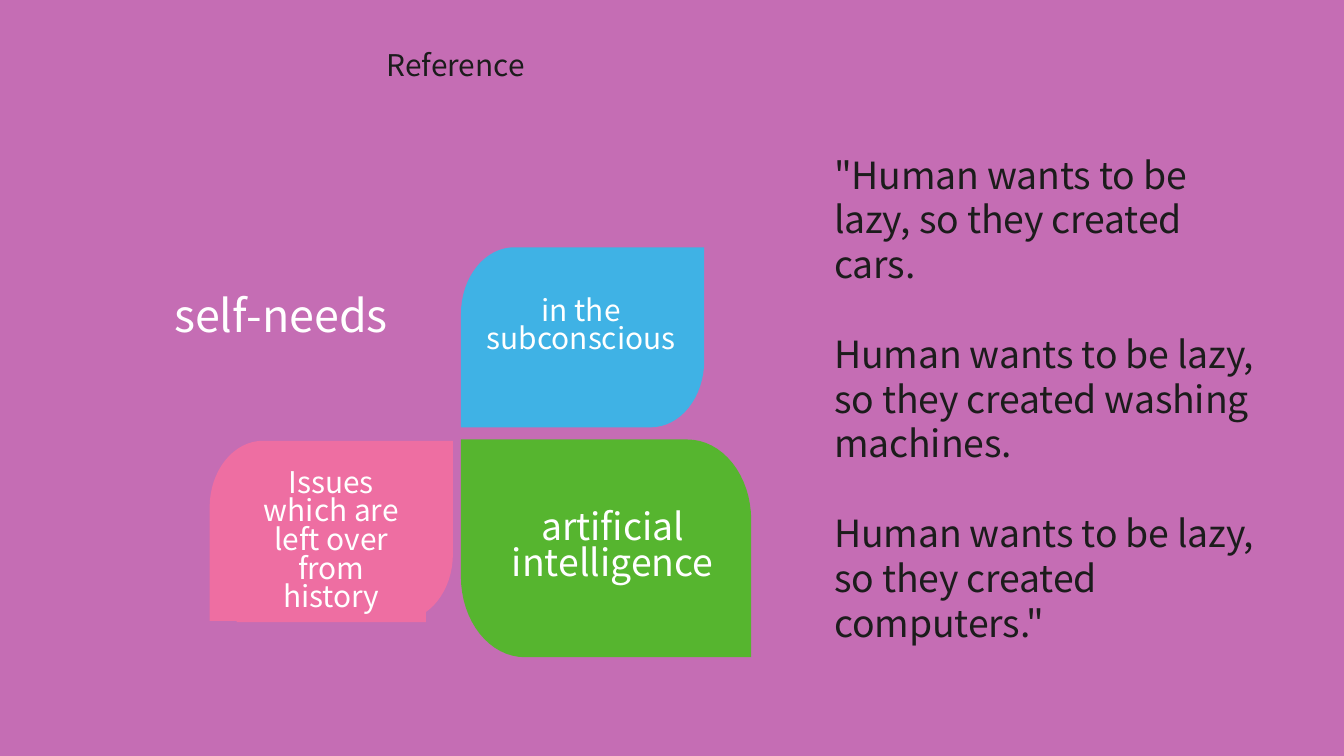
from dataclasses import dataclass
from math import cos, pi, sin
from typing import Optional

from pptx import Presentation
from pptx.dml.color import RGBColor
from pptx.enum.shapes import MSO_SHAPE
from pptx.enum.text import MSO_ANCHOR, PP_ALIGN
from pptx.util import Inches, Pt

SLIDE_WIDTH = 10
SLIDE_HEIGHT = SLIDE_WIDTH * 9 / 16

FONT = "Noto Sans CJK SC"
PURPLE = RGBColor(0xC5, 0x6D, 0xB4)
PINK = RGBColor(0xEE, 0x6E, 0xA2)
GREEN = RGBColor(0x56, 0xB5, 0x2F)
BLUE = RGBColor(0x3F, 0xB2, 0xE5)
WHITE = RGBColor(0xFF, 0xFF, 0xFF)
INK = RGBColor(0x1C, 0x1C, 0x1C)

CORNER_X, CORNER_Y = 0.22, 0.37
CURVE_STEPS = 16


@dataclass
class Box:
    left: float
    top: float
    width: float
    height: float

    def emu(self) -> tuple:
        return tuple(Inches(v) for v in (self.left, self.top, self.width, self.height))


@dataclass
class Leaf:
    box: Box
    color: RGBColor
    mirrored: bool
    label: str
    label_box: Box
    size: int
    label_fill: Optional[RGBColor] = None


LEAVES = [
    Leaf(Box(1.56, 3.28, 1.81, 1.34), PINK, False,
         "Issues which are left over from history", Box(1.76, 3.45, 1.41, 1.18), 16, PINK),
    Leaf(Box(0.86, 1.4, 2.47, 1.78), PURPLE, True,
         "self-needs", Box(1.03, 2.17, 2.12, 0.42), 24),
    Leaf(Box(3.43, 3.27, 2.16, 1.62), GREEN, True,
         "artificial intelligence", Box(3.68, 3.76, 1.76, 0.64), 20),
    Leaf(Box(3.43, 1.84, 1.81, 1.34), BLUE, False,
         "in the subconscious", Box(3.46, 2.17, 1.73, 0.53), 16),
]

QUOTE = [
    '"Human wants to be lazy, so they created cars.',
    "Human wants to be lazy, so they created washing machines.",
    'Human wants to be lazy, so they created computers."',
]


def leaf_points(box: Box, mirrored: bool) -> list:
    angles = [pi / 2 * i / CURVE_STEPS for i in range(CURVE_STEPS + 1)]
    curve = [(CORNER_X * (1 - cos(a)), CORNER_Y * (1 - sin(a))) for a in angles]
    half = curve + [(1, 0)]
    outline = half + [(1 - x, 1 - y) for x, y in half]
    if mirrored:
        outline = [(1 - x, y) for x, y in outline]
    return [(Inches(box.left + x * box.width), Inches(box.top + y * box.height))
            for x, y in outline]


def paint(sp, color: RGBColor) -> None:
    sp.shadow.inherit = False
    sp.fill.solid()
    sp.fill.fore_color.rgb = color
    sp.line.fill.background()


def add_text(s, box: Box, paragraphs: list, size: int, color: RGBColor,
             align: PP_ALIGN = PP_ALIGN.LEFT, spacing: float = 1.0, gap: int = 0,
             tracking: int = 0, wrap: bool = True, fill: Optional[RGBColor] = None) -> None:
    if fill is None:
        sp = s.shapes.add_textbox(*box.emu())
    else:
        sp = s.shapes.add_shape(MSO_SHAPE.RECTANGLE, *box.emu())
        paint(sp, fill)
    tf = sp.text_frame
    tf.word_wrap = wrap
    tf.vertical_anchor = MSO_ANCHOR.TOP
    for i, text in enumerate(paragraphs):
        p = tf.add_paragraph() if i else tf.paragraphs[0]
        p.alignment = align
        p.line_spacing = spacing
        if i and gap:
            p.space_before = Pt(gap)
        r = p.add_run()
        r.text = text
        r.font.name = FONT
        r.font.size = Pt(size)
        r.font.color.rgb = color
        if tracking:
            r.font._element.set("spc", str(tracking))


def draw_leaf(s, leaf: Leaf) -> None:
    points = leaf_points(leaf.box, leaf.mirrored)
    builder = s.shapes.build_freeform(*points[0])
    builder.add_line_segments(points[1:], close=True)
    paint(builder.convert_to_shape(), leaf.color)
    add_text(s, leaf.label_box, [leaf.label], leaf.size, WHITE,
             align=PP_ALIGN.CENTER, spacing=0.8, fill=leaf.label_fill)


def main() -> None:
    prs = Presentation()
    prs.slide_width, prs.slide_height = Inches(SLIDE_WIDTH), Inches(SLIDE_HEIGHT)
    s = prs.slides.add_slide(prs.slide_layouts[6])
    s.background.fill.solid()
    s.background.fill.fore_color.rgb = PURPLE

    for leaf in LEAVES:
        draw_leaf(s, leaf)
    add_text(s, Box(6.11, 1.08, 3.34, 3.8), QUOTE, 20, INK, gap=24, tracking=-10)
    add_text(s, Box(2.78, 0.3, 1.25, 0.37), ["Reference"], 16, INK, wrap=False)

    prs.save("out.pptx")


if __name__ == "__main__":
    main()
